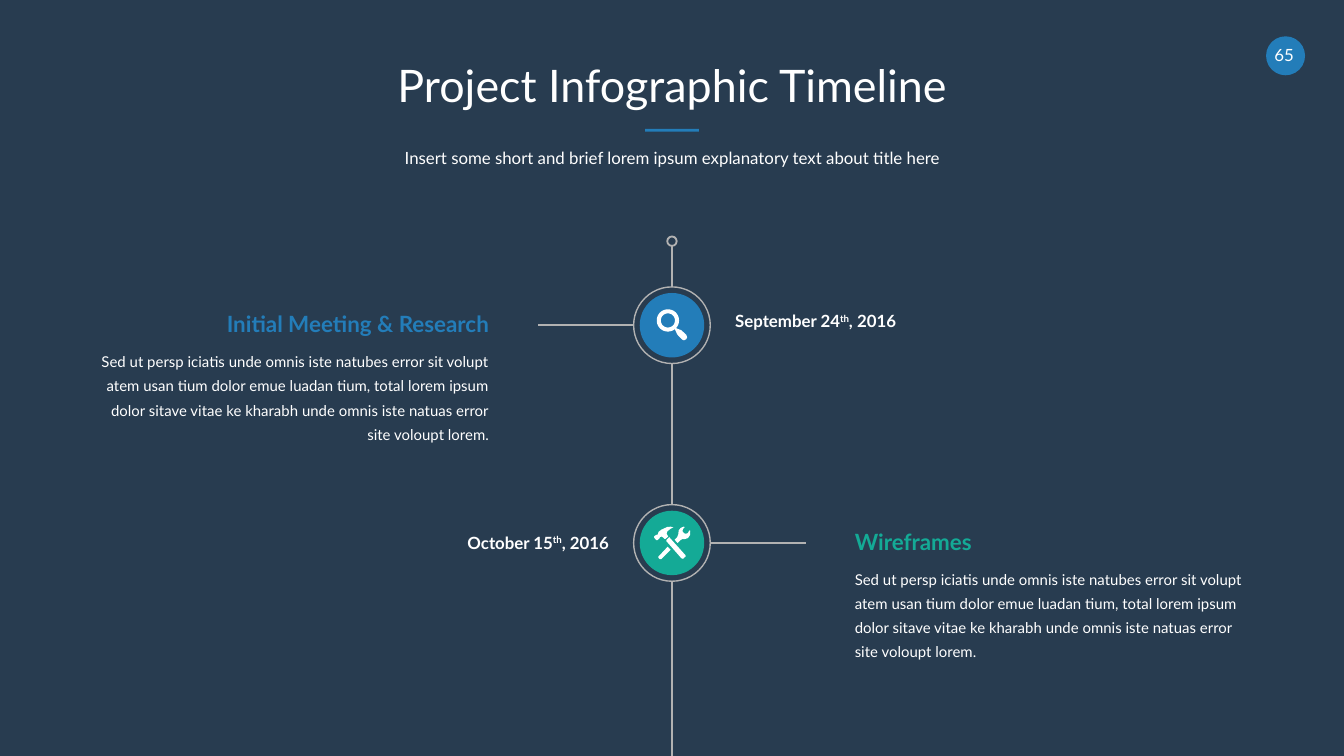
from math import cos, pi, sin

from lxml import etree
from pptx import Presentation
from pptx.dml.color import RGBColor
from pptx.enum.shapes import MSO_CONNECTOR, MSO_SHAPE
from pptx.enum.text import MSO_ANCHOR, MSO_AUTO_SIZE, PP_ALIGN
from pptx.oxml.ns import qn
from pptx.util import Inches, Pt

BACKGROUND = RGBColor(0x28, 0x3C, 0x50)
BLUE = RGBColor(0x23, 0x7D, 0xB9)
GREEN = RGBColor(0x14, 0xAA, 0x96)
GRAY = RGBColor(0xB2, 0xB2, 0xB2)
WHITE = RGBColor(0xFF, 0xFF, 0xFF)

FONT = "Lato"
OVAL = MSO_SHAPE.OVAL
RECTANGLE = MSO_SHAPE.RECTANGLE
STRAIGHT = MSO_CONNECTOR.STRAIGHT
LEFT, CENTER, RIGHT = PP_ALIGN.LEFT, PP_ALIGN.CENTER, PP_ALIGN.RIGHT

SLIDE_WIDTH = 10
SLIDE_HEIGHT = SLIDE_WIDTH * 9 / 16
AXIS = SLIDE_WIDTH / 2
RING_SIZE = 0.57
DISC_SIZE = 0.48
RING_RADIUS = RING_SIZE / 2
BRANCH_LENGTH = 0.71
DETAIL_OFFSET = 1.36
DETAIL_WIDTH = 2.89
DATE_OFFSET = 0.47
DATE_WIDTH = 1.62

DESCRIPTION = (
    "Sed ut persp iciatis unde omnis iste natubes error sit volupt atem usan "
    "tium dolor emue luadan tium, total lorem ipsum dolor sitave vitae ke "
    "kharabh unde omnis iste natuas error site voloupt lorem."
)


def circle_points(center_x, center_y, radius, steps=40):
    angles = [2 * pi * step / steps for step in range(steps)]
    return [(center_x + radius * cos(a), center_y + radius * sin(a)) for a in angles]


MAGNIFIER = [
    circle_points(-30, -35, 83),
    circle_points(-30, -35, 53),
    [(22, 30), (40, 70), (75, 107), (90, 113), (107, 105), (113, 90),
     (107, 72), (70, 38), (30, 22)],
]
TOOLS = [
    [(-102, 103), (-100, 112), (-90, 121), (-80, 120), (-10, 50), (-32, 28)],
    [(136, -90), (130, -93), (118, -74), (105, -68), (90, -72), (78, -88),
     (82, -103), (94, -117), (88, -122), (65, -112), (50, -93), (47, -65),
     (40, -45), (20, -23), (42, 0), (62, -20), (75, -28), (95, -28),
     (120, -37), (135, -60)],
    [(-20, -43), (-42, -22), (-42, -14), (70, 114), (82, 118), (101, 101),
     (101, 92)],
    [(-90, -42), (-80, -48), (-70, -44), (-55, -30), (-48, -30), (-28, -48),
     (-40, -68), (-35, -85), (-15, -102), (10, -117), (-10, -121),
     (-35, -119), (-80, -98), (-100, -82), (-106, -62), (-118, -60),
     (-133, -49), (-133, -40), (-117, -21), (-108, -21), (-95, -32)],
]


def add_preset(shapes, kind, box, fill=None, line_width=None):
    shape = shapes.add_shape(kind, *map(Inches, box))
    shape.shadow.inherit = False
    if fill is None:
        shape.fill.background()
    else:
        shape.fill.solid()
        shape.fill.fore_color.rgb = fill
    if line_width is None:
        shape.line.fill.background()
    else:
        shape.line.color.rgb = GRAY
        shape.line.width = Pt(line_width)
    return shape


def add_circle(shapes, center_x, center_y, size, fill=None, line_width=None):
    box = (center_x - size / 2, center_y - size / 2, size, size)
    return add_preset(shapes, OVAL, box, fill, line_width)


def add_line(slide, start, end):
    line = slide.shapes.add_connector(STRAIGHT, *map(Inches, start + end))
    line.line.color.rgb = GRAY
    line.line.width = Pt(1)
    etree.SubElement(line._element.spPr, qn("a:effectLst"))


def add_run(paragraph, text, size, color, bold=False, baseline=None):
    run = paragraph.add_run()
    run.text = text
    run.font.name = FONT
    run.font.size = Pt(size)
    run.font.bold = bold
    run.font.color.rgb = color
    if baseline is not None:
        run.font._element.set("baseline", str(baseline))


def prepare_text(shape, alignment):
    frame = shape.text_frame
    frame.word_wrap = True
    frame.auto_size = MSO_AUTO_SIZE.NONE
    frame.vertical_anchor = MSO_ANCHOR.TOP
    frame.margin_left = frame.margin_top = 0
    frame.margin_right = frame.margin_bottom = 0
    paragraph = frame.paragraphs[0]
    paragraph.alignment = alignment
    paragraph.space_before = Pt(0)
    return paragraph


def add_text(slide, box, alignment):
    return prepare_text(slide.shapes.add_textbox(*map(Inches, box)), alignment)


def fill_placeholder(placeholder, box, text, size):
    placeholder.left, placeholder.top, placeholder.width, placeholder.height = map(Inches, box)
    add_run(prepare_text(placeholder, CENTER), text, size, WHITE)


def add_header(slide, left, top, width):
    title, subtitle = slide.placeholders
    fill_placeholder(title, (left, top, width, 0.44), "Project Infographic Timeline", 24)
    fill_placeholder(
        subtitle, (left, top + 0.67, width, 0.17),
        "Insert some short and brief lorem ipsum explanatory text about title here", 9)
    add_preset(slide.shapes, RECTANGLE, (left + width / 2 - 0.2, top + 0.53, 0.4, 0.02), BLUE)


def add_page_number(slide, left, top, size):
    add_preset(slide.shapes, OVAL, (left, top, size, size), BLUE)
    paragraph = add_text(slide, (left + 0.01, top + 0.06, size - 0.04, 0.15), CENTER)
    add_run(paragraph, "65", 9, WHITE)


def add_icon(slide, center_y, color, outlines):
    group = slide.shapes.add_group_shape()
    add_circle(group.shapes, AXIS, center_y, DISC_SIZE, color)
    builder = group.shapes.build_freeform(*outlines[0][0], scale=Inches(0.001))
    for outline in outlines:
        builder.move_to(*outline[0])
        builder.add_line_segments(outline[1:], close=True)
    icon = builder.convert_to_shape(Inches(AXIS), Inches(center_y))
    icon.shadow.inherit = False
    icon.fill.solid()
    icon.fill.fore_color.rgb = WHITE
    icon.line.fill.background()


def add_milestone(slide, center_y, side, color, outlines, heading, day, date_shift):
    def beside(direction, offset, width):
        return AXIS + offset if direction > 0 else AXIS - offset - width

    add_icon(slide, center_y, color, outlines)
    add_circle(slide.shapes, AXIS, center_y, RING_SIZE, line_width=0.75)
    branch_start = AXIS + side * RING_RADIUS
    add_line(slide, (branch_start, center_y), (branch_start + side * BRANCH_LENGTH, center_y))

    alignment, date_alignment = (LEFT, RIGHT) if side > 0 else (RIGHT, LEFT)
    detail_left = beside(side, DETAIL_OFFSET, DETAIL_WIDTH)
    paragraph = add_text(slide, (detail_left, center_y - 0.11, DETAIL_WIDTH, 0.2), alignment)
    add_run(paragraph, heading, 12, color, bold=True)
    paragraph = add_text(slide, (detail_left, center_y + 0.16, DETAIL_WIDTH, 0.73), alignment)
    paragraph.line_spacing = 1.35
    add_run(paragraph, DESCRIPTION, 8, WHITE)

    date_left = beside(-side, DATE_OFFSET, DATE_WIDTH)
    paragraph = add_text(slide, (date_left, center_y + date_shift, DATE_WIDTH, 0.15), date_alignment)
    for text, baseline in ((day, None), ("th", 30000), (", 2016", 0)):
        add_run(paragraph, text, 9, WHITE, bold=True, baseline=baseline)


def add_axis(slide, top, milestone_centers):
    dot_size = 0.07
    add_circle(slide.shapes, AXIS, top + dot_size / 2, dot_size, line_width=1)
    starts = [top + dot_size] + [center + RING_RADIUS for center in milestone_centers]
    ends = [center - RING_RADIUS for center in milestone_centers] + [SLIDE_HEIGHT]
    for start, end in zip(starts, ends):
        add_line(slide, (AXIS, start), (AXIS, end))


def main():
    presentation = Presentation()
    presentation.slide_width = Inches(SLIDE_WIDTH)
    presentation.slide_height = Inches(SLIDE_HEIGHT)
    slide = presentation.slides.add_slide(presentation.slide_layouts[0])
    slide.background.fill.solid()
    slide.background.fill.fore_color.rgb = BACKGROUND

    add_page_number(slide, 9.42, 0.27, 0.29)
    add_header(slide, 0.75, 0.43, 8.5)
    add_axis(slide, 1.76, (2.42, 4.04))
    add_milestone(slide, 2.42, -1, BLUE, MAGNIFIER, "Initial Meeting & Research", "September 24", -0.11)
    add_milestone(slide, 4.04, 1, GREEN, TOOLS, "Wireframes", "October 15", -0.08)
    presentation.save("out.pptx")


if __name__ == "__main__":
    main()
